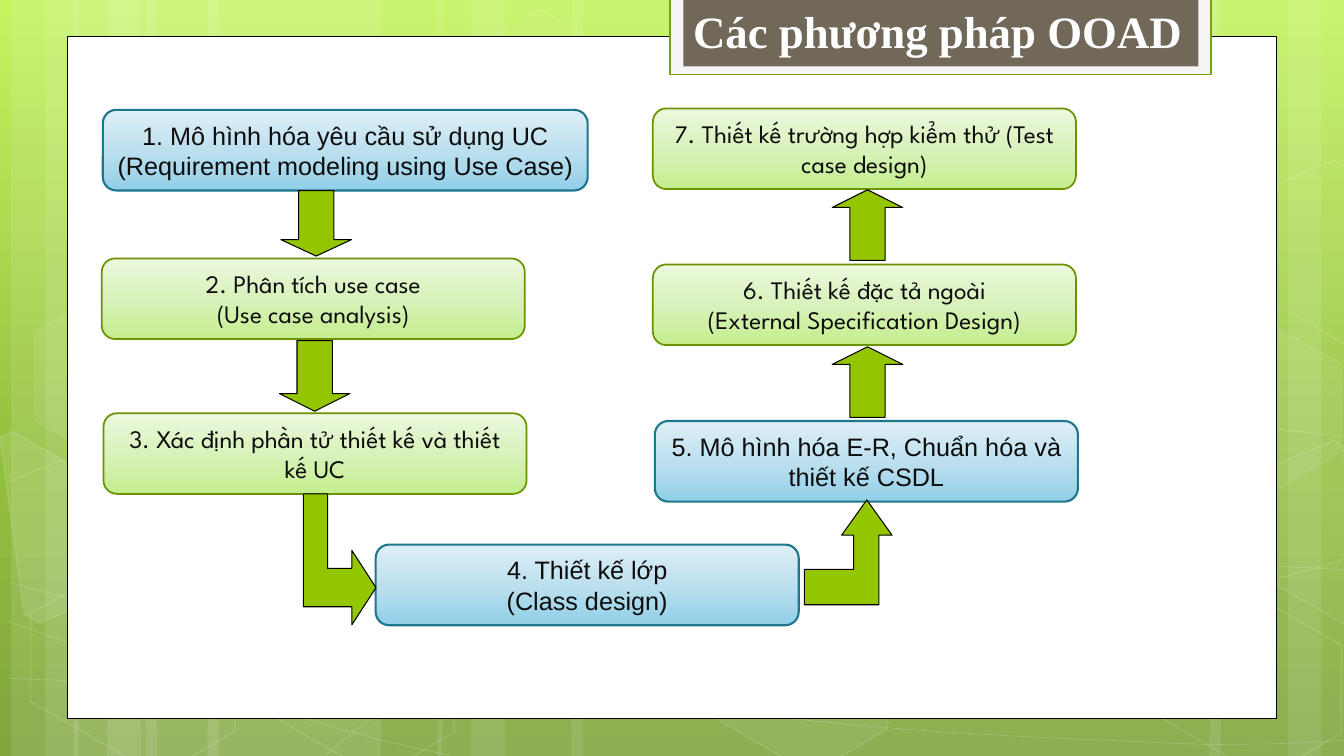
"""Build the slide on the steps of object-oriented analysis and design."""
from copy import deepcopy
from typing import Any, NamedTuple

from lxml import etree
from pptx import Presentation
from pptx.dml.color import RGBColor
from pptx.enum.shapes import MSO_SHAPE
from pptx.enum.text import MSO_ANCHOR, MSO_AUTO_SIZE, PP_ALIGN
from pptx.oxml.ns import qn
from pptx.util import Inches, Pt

RECT, ROUND = MSO_SHAPE.RECTANGLE, MSO_SHAPE.ROUNDED_RECTANGLE
HEX, DOWN = MSO_SHAPE.HEXAGON, MSO_SHAPE.DOWN_ARROW
MIDDLE, BOTTOM = MSO_ANCHOR.MIDDLE, MSO_ANCHOR.BOTTOM
LEFT, CENTER = PP_ALIGN.LEFT, PP_ALIGN.CENTER
CELL, COLS, ROWS = Inches(0.1), 133.33, 75
COLORS = {
    "white": "FFFFFF", "black": "000000", "ink": "0D0D0D", "arrow": "94C600", "frame": "F5F5F5",
    "edge": "74A510", "banner": "71685A", "blue": "1E768C", "green": "6D9200",
    "sky1": "C3F35F", "sky2": "93BF3F", "sky3": "81A53E",
    "blue1": "91CFE8", "blue2": "BDE0EF", "blue3": "DFEFF6",
    "green1": "C4EE8E", "green2": "D9F2BB", "green3": "ECF8DE",
}
Points = list[tuple[float, float]]


class Area(NamedTuple):
    """A place on the grid, in columns and rows."""
    left: float
    top: float
    width: float
    height: float


class Paint(NamedTuple):
    """A named colour with its opacity in percent and its width as a line."""
    name: str
    alpha: int = 100
    width: float = 0


class Theme(NamedTuple):
    """The look of one kind of step."""
    name: str
    width: float
    font: str
    side: float
    head: float


class Step(NamedTuple):
    """One step of the method."""
    area: Area
    theme: Theme
    text: str


BLUE = Theme("blue", 1.5, "Arial", 0, 0)
GREEN = Theme("green", 1.25, "League Spartan", 1, 0.5)
STEPS = [
    Step(Area(10.2, 10.9, 48.1, 8), BLUE,
         "1. Mô hi\u0300nh ho\u0301a yêu cầu sử dụng UC (Requirement modeling using Use Case)"),
    Step(Area(10.1, 25.64, 41.97, 8), GREEN, "2. Phân ti\u0301ch use case\n(Use case analysis)"),
    Step(Area(10.27, 41, 41.97, 8), GREEN, "3. Xác định phần tử thiết kế và thiết kế UC"),
    Step(Area(37.27, 54.03, 41.97, 8), BLUE, "4. Thiết kế lớp\n(Class design)"),
    Step(Area(64.97, 41.77, 41.97, 8), BLUE, "5. Mô hi\u0300nh ho\u0301a E-R, Chuẩn hóa và thiết kế CSDL"),
    Step(Area(64.77, 26.24, 41.97, 8), GREEN,
         "6. Thiê\u0301t kê\u0301 đă\u0323c ta\u0309 ngoa\u0300i\n(External Specification Design)"),
    Step(Area(64.77, 10.76, 41.97, 8), GREEN, "7. Thiết kế trường hợp kiểm thử (Test case design)"),
]
ARROWS = [(Area(27.87, 18.9, 7, 6.5), 0), (Area(27.72, 33.8, 7, 7), 0),
          (Area(82.56, 18.83, 7, 7), 180), (Area(82.56, 34.4, 7, 7), 180)]
BENDS = [
    [(86, 49.6), (83.5, 53.1), (84.7, 53.1), (84.7, 56.5), (79.8, 56.5), (79.8, 60),
     (87.2, 60), (87.2, 53.1), (88.5, 53.1)],
    [(37.3, 58.3), (34.9, 54.6), (34.9, 56.4), (32.5, 56.4), (32.5, 49), (30.1, 49),
     (30.1, 60.2), (34.9, 60.2), (34.9, 62)],
]
BANDS = [(14.5, 23.3), (1.1, 6.7), (4.5, 11.1), (20.6, 23.3), (7.3, 6.7), (10.6, 11.1),
         (97.8, 23.3), (127.8, 6.7), (120, 11.1), (56.7, 41.1), (43.4, 6.7), (46.7, 11.1)]
HEXES = [(44.5, 3.6, 4, 8), (66.2, 58.9, 6, 12), (1.5, 59.1, 0, 12), (1.9, 31.2, 7, 8),
         (23.2, 59.2, 0, 12), (111.2, 59.3, 0, 12), (111.2, 31.4, 7, 8)]
SHARDS = [
    (10, [(0, 43.4), (1.3, 42.8), (11.5, 48.7), (12.7, 58.1), (3.9, 61.8), (2.4, 60.9)]),
    (4, [(123.5, 47.4), (132.3, 43.7), (133.2, 44.3), (135.7, 62.5), (134.9, 62.8), (124.7, 56.9)]),
    (0, [(123.5, 19.6), (132.3, 15.9), (133.4, 16.5), (135.7, 34.6), (134.9, 35), (124.7, 29.1)]),
]
CURVES = [
    [(1, 67.3), (8.2, 67.6), (15.4, 67.9), (25.4, 67.8), (35.4, 67.7), (47.7, 67.5), (61, 66.5),
     (74.4, 65.5), (93.3, 63.6), (105.5, 61.7), (117.8, 59.8), (130.3, 56.8), (134.3, 55.1)],
    [(1, 47.7), (4.8, 46.1), (8.6, 44.6), (16.2, 43.1), (23.8, 41.6), (34.5, 39.4), (46.3, 38.7),
     (58.2, 38), (72.5, 37.9), (87.2, 38.7), (101.9, 39.5), (126.3, 42.6), (134.3, 43.4)],
    [(0.8, 61.7), (16.9, 67.2), (33, 72.7), (44.6, 74.9)],
    [(1, 57.8), (5.1, 58.9), (9.3, 60), (17.1, 61.6), (24.8, 63.1), (36.4, 65.6), (47.5, 67.3),
     (58.6, 69), (72.7, 70.8), (83.7, 71.8), (94.8, 72.9), (106.6, 73.3), (113.7, 73.6),
     (120.7, 74), (122.5, 73.8), (126, 73.8), (129.4, 73.7), (131.9, 73.5), (134.3, 73.4)],
    [(32.3, 74.9), (34.7, 72.9), (37, 70.9), (40.3, 69.1), (43.5, 67.3), (48, 65.3), (51.7, 63.9),
     (55.4, 62.5), (57.7, 61.9), (62.6, 60.9), (67.5, 59.9), (76.5, 58.5), (81.1, 57.8),
     (85.8, 57.1), (86.5, 57.1), (90.7, 56.9), (94.8, 56.6), (101.3, 56.3), (105.9, 56.2),
     (110.5, 56.1), (118.2, 56.2), (118.2, 56.2), (121, 56.2), (124, 56.2), (127, 56.2),
     (129.5, 56.3), (131.7, 56.4), (132.9, 56.5), (134.1, 56.6), (133.7, 56.5), (134.1, 56.6)],
]


def grid(count: float) -> int:
    """Turn a count of cells into a length."""
    return round(count * CELL)


def coat(fill: Any, paint: Paint) -> None:
    """Fill with one colour, or with none at zero opacity."""
    if not paint.alpha:
        return fill.background()
    fill.solid()
    fill.fore_color.rgb = RGBColor.from_string(COLORS[paint.name])
    if paint.alpha < 100:
        node = fill._xPr.find(".//" + qn("a:srgbClr"))
        etree.SubElement(node, qn("a:alpha")).set("val", str(paint.alpha * 1000))


def blend(fill: Any, name: str, angle: int, mid: float = 0.5) -> None:
    """Fill with a gradient of three stops."""
    fill.gradient()
    fill.gradient_angle = angle
    nodes = fill._xPr.find(".//" + qn("a:gsLst"))
    nodes.append(deepcopy(nodes[-1]))
    for rank, (stop, spot) in enumerate(zip(fill.gradient_stops, (0, mid, 1)), 1):
        stop.color.rgb = RGBColor.from_string(COLORS[f"{name}{rank}"])
        stop.position = spot


def finish(shape: Any, paint: Paint, pen: Paint) -> Any:
    """Give a shape its fill and outline."""
    shape.shadow.inherit = False
    coat(shape.fill, paint)
    coat(shape.line.fill, pen)
    if pen.alpha:
        shape.line.width = Pt(pen.width)
    return shape


def place(shapes: Any, kind: Any, area: Area, paint: Paint, pen: Paint = Paint("white", 0)) -> Any:
    """Add a preset shape on the grid."""
    return finish(shapes.add_shape(kind, *map(grid, area)), paint, pen)


def trace(shapes: Any, points: Points, paint: Paint, pen: Paint, close: bool = True) -> Any:
    """Add an outline through points of the grid."""
    spots = [(grid(x), grid(y)) for x, y in points]
    maker = shapes.build_freeform(*spots[0])
    maker.add_line_segments(spots[1:], close=close)
    return finish(maker.convert_to_shape(), paint, pen)


def bend(shape: Any) -> None:
    """Turn each three lines of an outline into one cubic curve."""
    lines = list(shape._element.iter(qn("a:lnTo")))
    for first in range(0, len(lines), 3):
        head, *rest = lines[first:first + 3]
        curve = etree.Element(qn("a:cubicBezTo"))
        head.addprevious(curve)
        for line in (head, *rest):
            curve.append(line[0])
            line.getparent().remove(line)


def write(shape: Any, text: str, font: str, size: int, color: str, align: Any, bold: bool = False) -> None:
    """Set the text of a shape and format its runs."""
    frame = shape.text_frame
    frame.text, frame.word_wrap, frame.auto_size = text, True, MSO_AUTO_SIZE.NONE
    for para in frame.paragraphs:
        para.alignment = align
        for run in para.runs:
            run.font.name, run.font.size, run.font.bold = font, Pt(size), bold
            run.font.color.rgb = RGBColor.from_string(COLORS[color])


def draw_step(shapes: Any, step: Step) -> None:
    """Draw one step of the method."""
    theme = step.theme
    shape = place(shapes, ROUND, step.area, Paint("white"), Paint(theme.name, 100, theme.width))
    blend(shape.fill, theme.name, 90)
    write(shape, step.text, theme.font, 18, "ink", CENTER)
    frame = shape.text_frame
    frame.vertical_anchor = MIDDLE
    frame.margin_left = frame.margin_right = grid(theme.side)
    frame.margin_top = frame.margin_bottom = grid(theme.head)


def draw_back(shapes: Any, layout: Any) -> None:
    """Draw the backdrop and the white page, and hand them to the layout."""
    blend(layout.background.fill, "sky", 270, 0.62)
    for left, width in BANDS:
        place(shapes, RECT, Area(left, 0, width, ROWS), Paint("white", 10))
    for knots in CURVES:
        bend(trace(shapes, knots, Paint("white", 0), Paint("white", 20, 0.5), False))
    for left, top, fill, edge in HEXES:
        shape = place(shapes, HEX, Area(left, top, 23.4, 15.2), Paint("white", fill), Paint("white", edge, 1))
        shape.adjustments[0], shape.rotation = 0.285, 30
    for fill, points in SHARDS:
        trace(shapes, points, Paint("white", fill), Paint("white", 12, 1))
    place(shapes, RECT, Area(6.67, 3.6, 119.97, 67.64), Paint("white"), Paint("black", 100, 0.5))
    place(shapes, RECT, Area(66.5, -0.2, 53.63, 7.6), Paint("frame"), Paint("edge", 100, 1.25))
    place(shapes, RECT, Area(67.8, -0.2, 51.1, 6.8), Paint("banner"))
    for holder in list(layout.placeholders)[1:]:
        layout.shapes._spTree.remove(holder._element)
    for shape in list(shapes)[1:]:
        layout.shapes._spTree.append(shape._element)


deck = Presentation()
deck.slide_width, deck.slide_height = grid(COLS), grid(ROWS)
page = deck.slides.add_slide(deck.slide_layouts[5])
draw_back(page.shapes, page.slide_layout)
for step in STEPS:
    draw_step(page.shapes, step)
for area, turn in ARROWS:
    arrow = place(page.shapes, DOWN, area, Paint("arrow"), Paint("black", 100, 0.75))
    arrow.adjustments[1], arrow.rotation = 0.25, turn
for points in BENDS:
    trace(page.shapes, points, Paint("arrow"), Paint("black", 100, 0.75))
title = page.shapes.title
title.left, title.top, title.width, title.height = map(grid, Area(67.75, 0.3, 51, 5.9))
write(title, "Các phương pháp OOAD", "Times New Roman", 32, "white", LEFT, True)
title.text_frame.vertical_anchor = BOTTOM
page.shapes._spTree.append(title._element)
deck.save("out.pptx")
